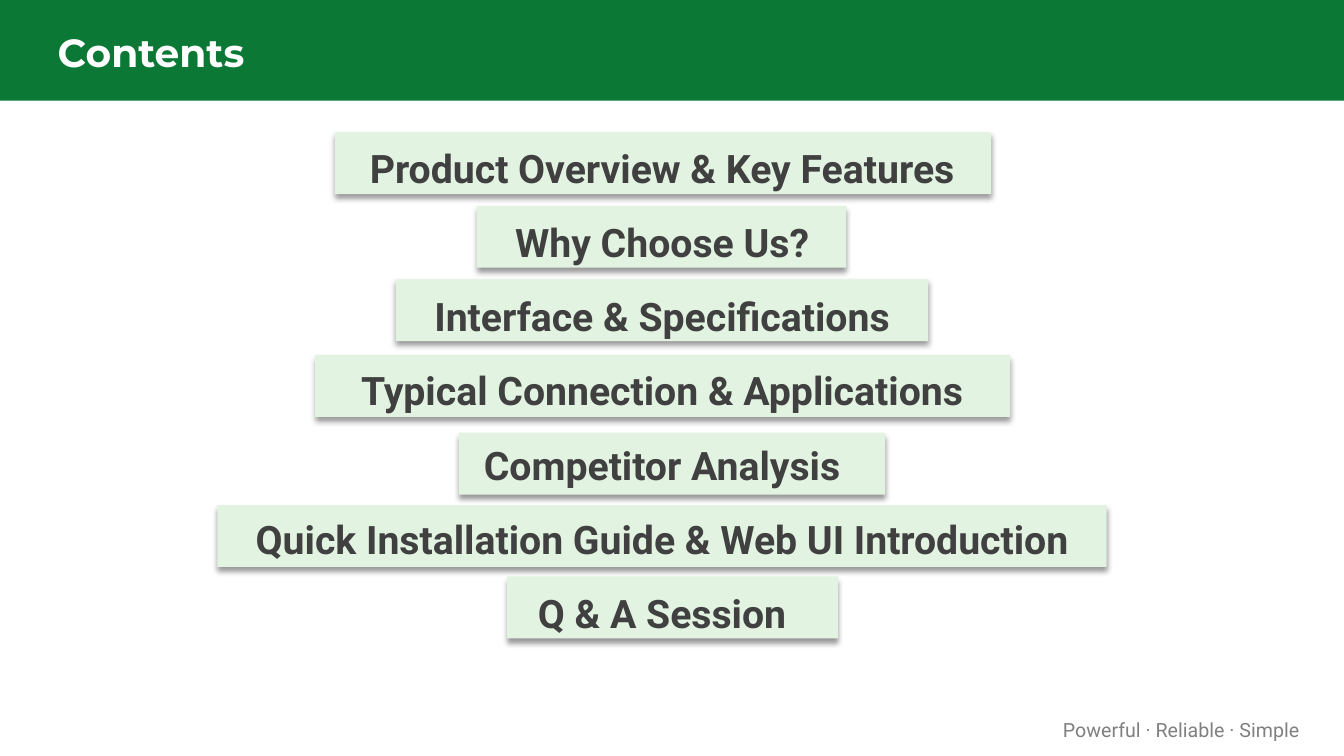
from lxml import etree
from pptx import Presentation
from pptx import util as u
from pptx.dml.color import RGBColor
from pptx.enum import shapes, text
from pptx.oxml import ns

PX = 9525  # EMU per px, 96 px to the inch
HUES = {"band": "0B7935", "tile": "E2F3E1", "head": "FFFFFF",
        "item": "404040", "foot": "808080", "shade": "000000"}

deck = Presentation()
deck.slide_width, deck.slide_height = 1280 * PX, 720 * PX
slide = deck.slides.add_slide(deck.slide_layouts[6])


def add_rect(spot, hue):
    rect = slide.shapes.add_shape(shapes.MSO_SHAPE.RECTANGLE, *[n * PX for n in spot])
    rect.shadow.inherit = False
    rect.fill.solid()
    rect.fill.fore_color.rgb = RGBColor.from_string(HUES[hue])
    rect.line.fill.background()
    return rect


def add_text(spot, pads, lines, hue, face, size, bold, para, anchor):
    frame = slide.shapes.add_textbox(*[n * PX for n in spot]).text_frame
    frame.word_wrap = True
    frame.vertical_anchor = anchor
    for side, pad in zip(("left", "top", "right", "bottom"), pads):
        setattr(frame, "margin_" + side, pad * PX)
    frame.text = "\n".join(lines)
    for par in frame.paragraphs:
        for key, val in para.items():
            setattr(par, key, val)
        font = par.runs[0].font
        for key, val in {"name": face, "size": u.Pt(size), "bold": bold}.items():
            setattr(font, key, val)
        font.color.rgb = RGBColor.from_string(HUES[hue])


# Title band
mid, top = text.MSO_ANCHOR.MIDDLE, text.MSO_ANCHOR.TOP
center = {"alignment": text.PP_ALIGN.CENTER}
add_rect((0, 0, 1280, 96), "band")
add_text((48, 17, 1184, 64), (7, 3, 7, 3), ["Contents"],
         "head", "Montserrat", 28, True, {}, mid)

# Footer motto
add_text((978, 679, 276, 33), (28, 5, 10, 5), ["Powerful · Reliable · Simple"],
         "foot", "Roboto", 14, False, center, top)

# Agenda tiles: left, top, width, label
items = [
    (319, 126, 625, "Product Overview & Key Features"),
    (454, 196, 352, "Why Choose Us?"),
    (377, 266, 507, "Interface & Specifications"),
    (300, 338, 662, "Typical Connection & Applications"),
    (437, 412, 406, "Competitor Analysis"),
    (207, 481, 847, "Quick Installation Guide & Web UI Introduction"),
    (483, 549, 315, "Q & A Session"),
]
for left, high, wide, label in items:
    tile = add_rect((left, high, wide, 59), "tile")
    glow = tile._element.spPr.find(ns.qn("a:effectLst"))
    cast = etree.SubElement(glow, ns.qn("a:outerShdw"), blurRad=str(u.Pt(4)),
                            dist=str(u.Pt(3)), dir="5400000", rotWithShape="0")
    tint = etree.SubElement(cast, ns.qn("a:srgbClr"), val=HUES["shade"])
    etree.SubElement(tint, ns.qn("a:alpha"), val="40000")

# Agenda text over the tiles
add_text((165, 143, 931, 442), (7, 3, 7, 3), [item[3] for item in items],
         "item", "Roboto", 28, True,
         {**center, "line_spacing": u.Pt(45), "space_after": u.Pt(8)}, mid)

deck.save("out.pptx")
